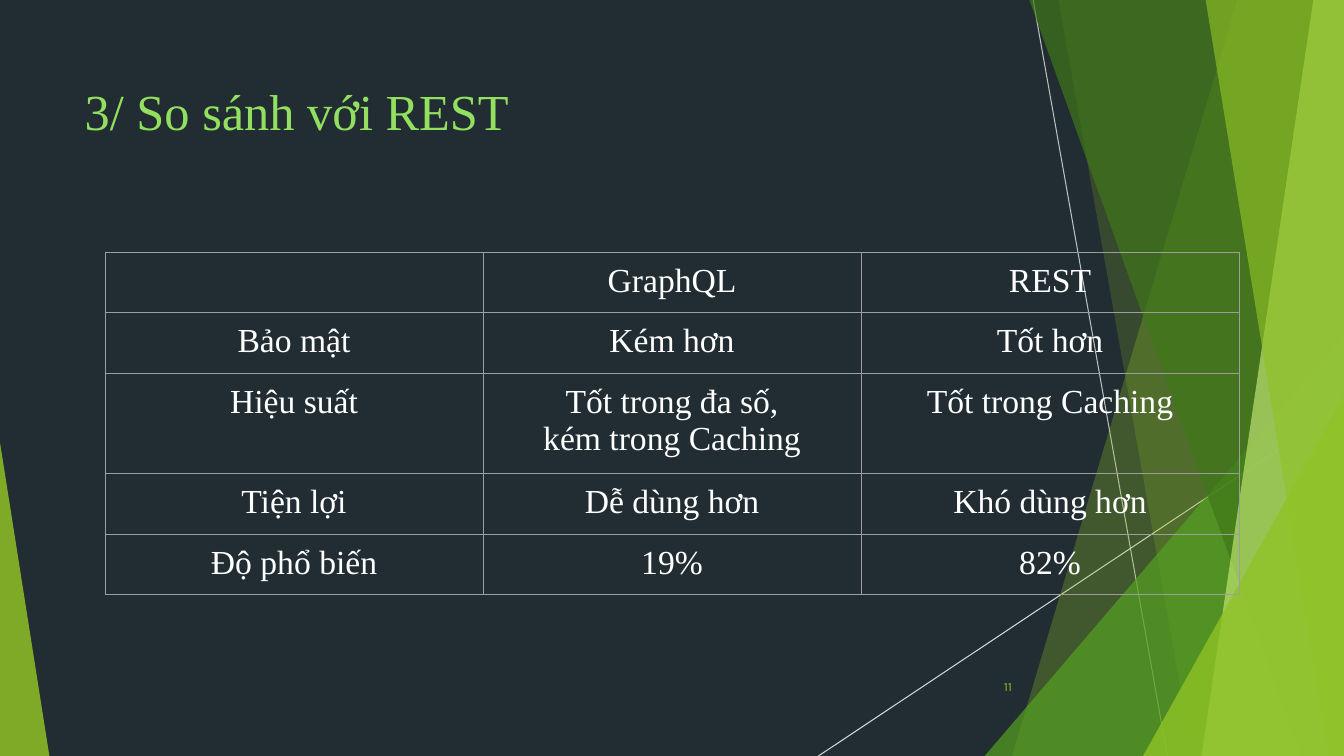
"""Build the slide comparing GraphQL with REST."""
import pptx
import pptx.dml.color
import pptx.enum.shapes
import pptx.enum.text
import pptx.oxml
import pptx.oxml.ns
import pptx.util
from lxml import etree
from dataclasses import dataclass

Pt = pptx.util.Pt
PP_ALIGN = pptx.enum.text.PP_ALIGN
ANCHOR = pptx.enum.text.MSO_ANCHOR
qn = pptx.oxml.ns.qn

TITLE = "3/ So sánh với REST"
PAGE_NUMBER = "11"
COMPARISON = [
    ("", "GraphQL", "REST"),
    ("Bảo mật", "Kém hơn", "Tốt hơn"),
    ("Hiệu suất", "Tốt trong đa số,\nkém trong Caching", "Tốt trong Caching"),
    ("Tiện lợi", "Dễ dùng hơn", "Khó dùng hơn"),
    ("Độ phổ biến", "19%", "82%"),
]


@dataclass(frozen=True)
class Theme:
    """Colours, fonts and type sizes."""
    background: str = "212D32"
    title: str = "93DF5F"
    body: str = "FFFFFF"
    border: str = "9E9E9E"
    lime: str = "90C226"
    green: str = "54A021"
    forest: str = "3F7818"
    pale: str = "BFE471"
    steep_ray: str = "BFBFBF"
    flat_ray: str = "D8D8D8"
    serif: str = "Times New Roman"
    sans: str = "Karla"
    title_size: float = 36
    body_size: float = 24
    number_size: float = 9
    line_width: float = 0.75


THEME = Theme()
WIDTH, HEIGHT = 960, 540
BLEED = -0.5
RAYS = [
    ((738, 0), (833.8, HEIGHT), THEME.steep_ray),
    ((WIDTH, 290.2), (584.6, HEIGHT), THEME.flat_ray),
]
FACETS = [
    ("band", (884.2, 722.9), THEME.lime, 29),
    ("band", (756, 851.8), THEME.lime, 20),
    ("right", (703.4, 239.8, WIDTH), THEME.green, 71),
    ("band", (735.1, 929.5), THEME.forest, 69),
    ("band", (938.2, 858.2), THEME.pale, 69),
    ("band", (861.1, 949), THEME.lime, 64),
    ("right", (816.5, 283, WIDTH), THEME.lime, 80),
    ("left", (0, 316.1, 35.3), THEME.lime, 84),
]
TABLE_LEFT, TABLE_TOP, COLUMN_WIDTH = 75, 180, 270
ROW_HEIGHT, EXTRA_LINE = 43, 29
CELL_INSET = 7.2


def rgb(colour):
    """Turn a hex colour into an RGB value."""
    return pptx.dml.color.RGBColor.from_string(colour)


def write(frame, text, *, font, size, colour, align=PP_ALIGN.LEFT):
    """Fill a text frame with formatted paragraphs."""
    frame.text = text
    frame.word_wrap = True
    for paragraph in frame.paragraphs:
        paragraph.alignment = align
        for run in paragraph.runs:
            run.font.name = font
            run.font.size = Pt(size)
            run.font.color.rgb = rgb(colour)


def add_ray(slide, start, end, colour):
    """Draw a thin line without a shadow."""
    ray = slide.shapes.add_connector(
        pptx.enum.shapes.MSO_CONNECTOR.STRAIGHT, *map(Pt, start + end))
    ray.line.color.rgb = rgb(colour)
    ray.line.width = Pt(THEME.line_width)
    etree.SubElement(ray.element.spPr, qn("a:effectLst"))


def add_facet(slide, kind, place, colour, opacity):
    """Draw a translucent band or corner triangle."""
    if kind == "band":
        top_x, bottom_x = place
        outline = slide.shapes.build_freeform(Pt(top_x), Pt(BLEED), scale=1.0)
        corners = [(WIDTH, BLEED), (WIDTH, HEIGHT), (bottom_x, HEIGHT)]
        outline.add_line_segments([(Pt(x), Pt(y)) for x, y in corners], close=True)
        facet = outline.convert_to_shape()
    else:
        left, top, right = place
        facet = slide.shapes.add_shape(
            pptx.enum.shapes.MSO_SHAPE.ISOSCELES_TRIANGLE,
            Pt(left), Pt(top), Pt(right - left), Pt(HEIGHT - top))
        facet.adjustments[0] = 1 if kind == "right" else 0
    facet.shadow.inherit = False
    facet.line.fill.background()
    facet.fill.solid()
    facet.fill.fore_color.rgb = rgb(colour)
    tint = facet.element.spPr.find(qn("a:solidFill")).find(qn("a:srgbClr"))
    etree.SubElement(tint, qn("a:alpha"), val=str(opacity * 1000))


def add_borders(cell):
    """Outline all four sides of a cell."""
    properties = cell._tc.get_or_add_tcPr()
    for side in ("a:lnL", "a:lnR", "a:lnT", "a:lnB"):
        edge = etree.SubElement(properties, qn(side), w=str(Pt(THEME.line_width)))
        fill = etree.SubElement(edge, qn("a:solidFill"))
        etree.SubElement(fill, qn("a:srgbClr"), val=THEME.border)


def add_comparison(slide):
    """Lay out the comparison table."""
    columns = len(COMPARISON[0])
    heights = [ROW_HEIGHT + EXTRA_LINE * max(text.count("\n") for text in row)
               for row in COMPARISON]
    table = slide.shapes.add_table(
        len(COMPARISON), columns, Pt(TABLE_LEFT), Pt(TABLE_TOP),
        Pt(COLUMN_WIDTH * columns), Pt(sum(heights))).table
    table.first_row = table.horz_banding = False
    for column in table.columns:
        column.width = Pt(COLUMN_WIDTH)
    for r, texts in enumerate(COMPARISON):
        table.rows[r].height = Pt(heights[r])
        for c, text in enumerate(texts):
            cell = table.cell(r, c)
            cell.margin_left = cell.margin_right = Pt(CELL_INSET)
            cell.margin_top = cell.margin_bottom = Pt(CELL_INSET)
            write(cell.text_frame, text, font=THEME.serif, size=THEME.body_size,
                  colour=THEME.body, align=PP_ALIGN.CENTER)
            add_borders(cell)
            cell.fill.background()


def main():
    """Assemble and save the slide."""
    deck = pptx.Presentation()
    deck.slide_width, deck.slide_height = Pt(WIDTH), Pt(HEIGHT)
    slide = deck.slides.add_slide(deck.slide_layouts[5])
    slide.background.fill.solid()
    slide.background.fill.fore_color.rgb = rgb(THEME.background)

    for ray in RAYS:
        add_ray(slide, *ray)
    for facet in FACETS:
        add_facet(slide, *facet)

    title = slide.shapes.title
    title.left, title.top, title.width, title.height = map(Pt, (53.3, 53.3, 566.6, 51.1))
    write(title.text_frame, TITLE, font=THEME.serif, size=THEME.title_size,
          colour=THEME.title)
    title.text_frame.vertical_anchor = ANCHOR.TOP
    title.text_frame.auto_size = pptx.enum.text.MSO_AUTO_SIZE.SHAPE_TO_FIT_TEXT

    number = slide.shapes.add_textbox(*map(Pt, (676, 476, 54, 28.8)))
    write(number.text_frame, PAGE_NUMBER, font=THEME.sans, size=THEME.number_size,
          colour=THEME.lime, align=PP_ALIGN.RIGHT)
    number.text_frame.vertical_anchor = ANCHOR.MIDDLE

    add_comparison(slide)
    deck.save("out.pptx")


if __name__ == "__main__":
    main()
